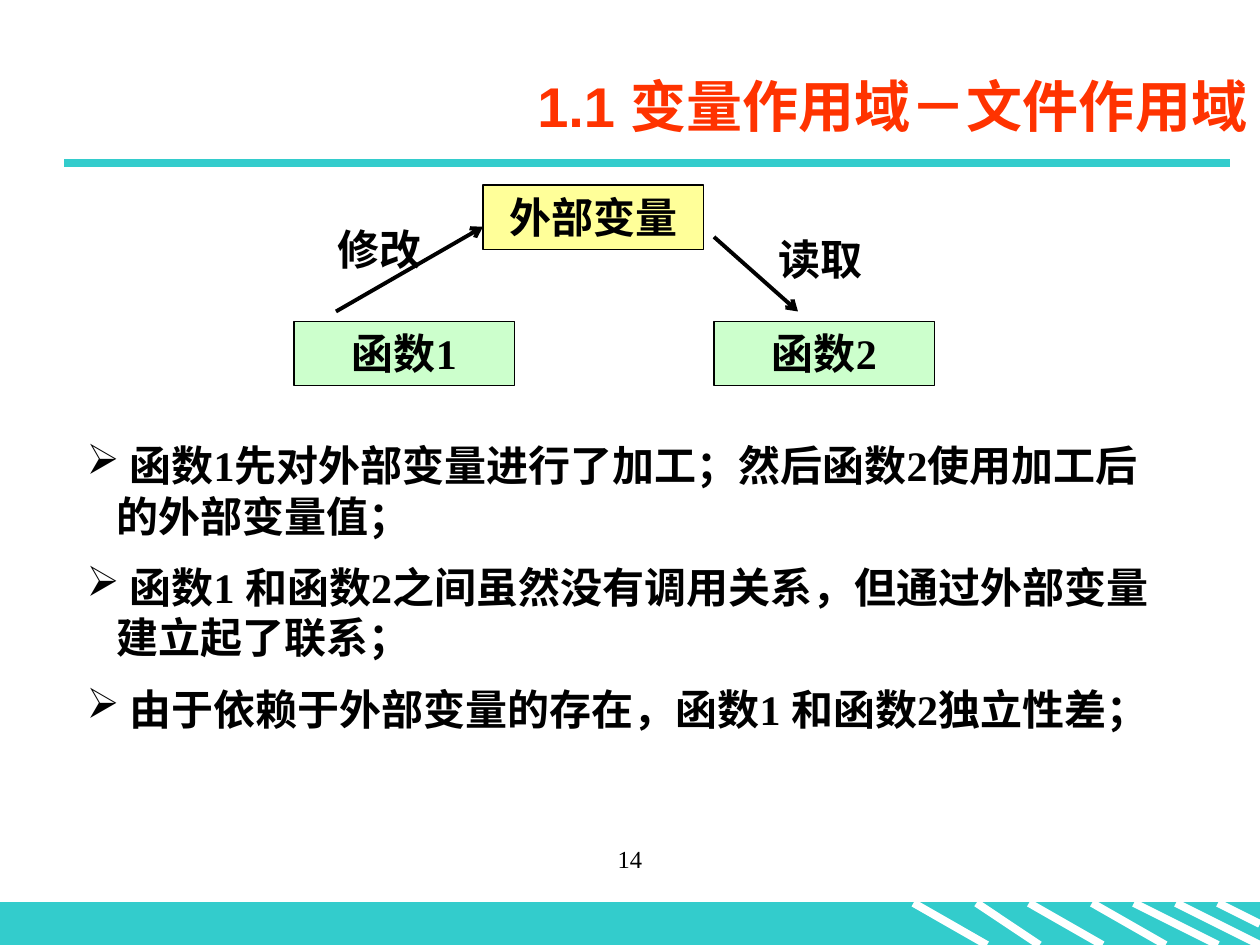
from pptx import Presentation
from pptx.dml.color import RGBColor
from pptx.enum.shapes import MSO_CONNECTOR, MSO_SHAPE
from pptx.enum.text import MSO_ANCHOR, PP_ALIGN
from pptx.oxml.ns import qn
from pptx.util import Pt
from lxml.etree import SubElement

RECT, STRAIGHT = MSO_SHAPE.RECTANGLE, MSO_CONNECTOR.STRAIGHT
LEFT, CENTER, RIGHT = PP_ALIGN.LEFT, PP_ALIGN.CENTER, PP_ALIGN.RIGHT
TOP, MIDDLE = MSO_ANCHOR.TOP, MSO_ANCHOR.MIDDLE
COLORS = {"teal": "33CCCC", "white": "FFFFFF", "black": "000000",
          "green": "CCFFCC", "yellow": "FFFF99", "red": "FF3300"}
BODY = {"name": "Times New Roman", "size": Pt(24), "bold": True}
TITLE = {"name": "Arial", "size": Pt(32), "bold": True}
NUMBER = {"name": "Times New Roman", "size": Pt(14), "bold": False}


class Deck:
    """Draws styled elements on the current slide, with lengths in points."""

    def __init__(self, width, height):
        self.prs = Presentation()
        self.prs.slide_width, self.prs.slide_height = Pt(width), Pt(height)
        self.s = self.prs.slides.add_slide(self.prs.slide_layouts[6])

    def color(self, name):
        return RGBColor.from_string(COLORS[name])

    def fill_text(self, sp, lines, fmt, color="black", align=LEFT, anchor=TOP, bullet=None):
        tf = sp.text_frame
        tf.word_wrap, tf.vertical_anchor = True, anchor
        for i, line in enumerate(lines):
            p = tf.paragraphs[0] if i == 0 else tf.add_paragraph()
            p.alignment = align
            if i:
                p.space_before = Pt(12)
            if bullet:
                pPr = p._p.get_or_add_pPr()
                pPr.set("marL", str(Pt(17)))
                pPr.set("indent", str(-Pt(17)))
                SubElement(pPr, qn("a:buChar"), char=bullet)
            r = p.add_run()
            r.text = line
            for key, value in fmt.items():
                setattr(r.font, key, value)
            r.font.color.rgb = self.color(color)

    def text(self, box, lines, fmt=BODY, **style):
        sp = self.s.shapes.add_textbox(*map(Pt, box))
        self.fill_text(sp, lines, fmt, **style)

    def rect(self, box, fill, line, label=None):
        sp = self.s.shapes.add_shape(RECT, *map(Pt, box))
        sp.shadow.inherit = False
        sp.fill.solid()
        sp.fill.fore_color.rgb = self.color(fill)
        sp.line.color.rgb = self.color(line)
        sp.line.width = Pt(0.75)
        if label:
            self.fill_text(sp, [label], BODY, align=CENTER)

    def line(self, ends, color, width, arrow=False):
        sp = self.s.shapes.add_connector(STRAIGHT, *map(Pt, ends))
        sp.line.color.rgb = self.color(color)
        sp.line.width = Pt(width)
        spPr = sp._element.spPr
        if arrow:
            SubElement(spPr.find(qn("a:ln")), qn("a:tailEnd"), type="arrow")
        SubElement(spPr, qn("a:effectLst"))


def main():
    deck = Deck(720, 540)
    deck.rect((0, 516, 720, 24), "teal", "teal")
    for x1, x2, y2 in [(522, 564, 540), (558, 594, 540), (588, 630, 540), (624, 666, 540),
                       (648, 696, 540), (672, 720, 540), (696, 720, 528)]:
        deck.line((x1, 516, x2, y2), "white", 4.5)
    deck.line((36.7, 92.9, 702.7, 92.9), "teal", 4.5)
    deck.text((108, 31.7, 612, 56.9), ["1.1 变量作用域－文件作用域"], TITLE,
              color="red", align=RIGHT, anchor=MIDDLE)

    for x, y, fill, label in [(168, 183.6, "green", "函数1"), (408, 183.6, "green", "函数2"),
                              (276, 105.8, "yellow", "外部变量")]:
        deck.rect((x, y, 126, 36.7), fill, "black", label)
    for ends in [(192, 178, 276, 129.6), (408, 135.4, 456, 178)]:
        deck.line(ends, "black", 2.25, arrow=True)
    for x, y, label in [(186, 124, "修改"), (438, 130, "读取")]:
        deck.text((x, y, 90, 36), [label])

    deck.text((42.5, 247.7, 629.3, 180), [
        " 函数1先对外部变量进行了加工；然后函数2使用加工后的外部变量值；",
        " 函数1 和函数2之间虽然没有调用关系，但通过外部变量建立起了联系；",
        " 由于依赖于外部变量的存在，函数1 和函数2独立性差；",
    ], bullet="➢")
    deck.text((246, 478.8, 228, 36), ["14"], NUMBER, align=CENTER)
    deck.prs.save("out.pptx")


if __name__ == "__main__":
    main()
